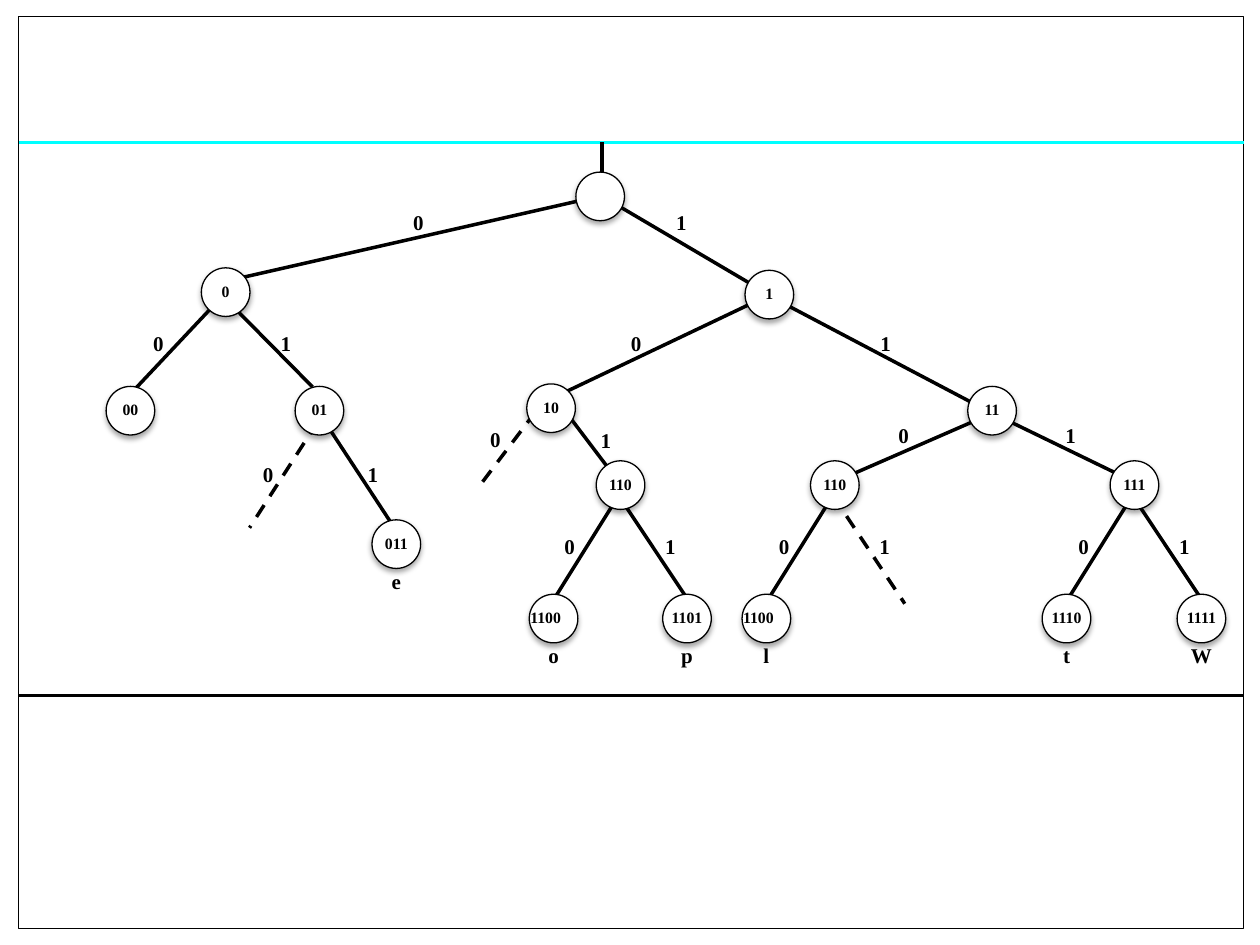
from dataclasses import dataclass

from lxml.etree import SubElement
from pptx import Presentation
from pptx.dml.color import RGBColor
from pptx.enum.dml import MSO_LINE
from pptx.enum.shapes import MSO_CONNECTOR, MSO_SHAPE
from pptx.enum.text import MSO_ANCHOR, PP_ALIGN
from pptx.oxml.ns import qn
from pptx.util import Cm, Pt


@dataclass(frozen=True)
class Theme:
    """Colours, type and line sizes of the slide."""
    ink: RGBColor = RGBColor(0, 0, 0)
    paper: RGBColor = RGBColor(255, 255, 255)
    accent: RGBColor = RGBColor(0, 255, 255)
    font: str = "Times New Roman"
    code_size: float = 9
    label_size: float = 12
    thin: float = 0.75
    thick: float = 2


THEME = Theme()
DIAMETER = 0.98
LABEL_WIDTH, LABEL_HEIGHT = 0.99, 0.76

FRAME = (0.38, 0.33, 24.69, 18.39)
HEADER_HEIGHT, FOOTER_TOP = 2.54, 13.69

NODES = [
    ("", 11.72, 1.09, ""),
    ("0", 4.17, 3.02, ""),
    ("1", 15.13, 3.07, ""),
    ("00", 2.25, 5.41, ""),
    ("01", 6.06, 5.41, ""),
    ("10", 10.73, 5.36, ""),
    ("11", 19.62, 5.41, ""),
    ("110", 12.13, 6.91, ""),
    ("110", 16.45, 6.91, ""),
    ("111", 22.49, 6.91, ""),
    ("011", 7.61, 8.1, "e"),
    ("1100", 10.78, 9.6, "o"),
    ("1101", 13.47, 9.6, "p"),
    ("1100", 15.07, 9.6, "l"),
    ("1110", 21.12, 9.6, "t"),
    ("1111", 23.84, 9.6, "W"),
]
BRANCHES = [
    ("0", (11.68, 1.09), (4.52, 2.72), (7.7, 1.22), False),
    ("1", (11.73, 1.07), (15.21, 3.12), (13, 1.22), False),
    ("0", (3.84, 3.38), (1.93, 5.41), (2.46, 3.66), False),
    ("1", (4.39, 3.38), (5.92, 4.93), (5.03, 3.66), False),
    ("0", (14.91, 3.18), (10.54, 5.26), (12.09, 3.66), False),
    ("1", (15.29, 3.18), (19.43, 5.36), (17.12, 3.66), False),
    ("0", (6.02, 5.64), (4.65, 7.77), (4.67, 6.3), True),
    ("1", (6.12, 5.56), (7.57, 7.77), (6.78, 6.3), False),
    ("0", (10.72, 5.03), (9.32, 6.88), (9.25, 5.59), True),
    ("1", (10.72, 5.03), (12.12, 6.88), (11.48, 5.61), False),
    ("0", (19.51, 5.51), (16.41, 6.86), (17.48, 5.51), False),
    ("1", (19.63, 5.46), (22.45, 6.83), (20.85, 5.51), False),
]
FANS = [(12.13, False), (16.45, True), (22.49, False)]


def write(shape, text, size=THEME.label_size, align=PP_ALIGN.LEFT, anchor=MSO_ANCHOR.TOP,
          wrap=True, margins=(0.25, 0.13, 0.25, 0.13)):
    """Put formatted text in a shape."""
    frame = shape.text_frame
    frame.word_wrap = wrap
    frame.vertical_anchor = anchor
    (frame.margin_left, frame.margin_top,
     frame.margin_right, frame.margin_bottom) = map(Cm, margins)
    paragraph = frame.paragraphs[0]
    paragraph.alignment = align
    run = paragraph.add_run()
    run.text = text
    run.font.name, run.font.size, run.font.bold = THEME.font, Pt(size), True
    run.font.color.rgb = THEME.ink


def add_label(slide, text, left, top, **style):
    """Add a one-character label at its top left corner."""
    label = slide.shapes.add_textbox(Cm(left), Cm(top), Cm(LABEL_WIDTH), Cm(LABEL_HEIGHT))
    write(label, text, **style)


def add_line(slide, start, end, color=THEME.ink, dashed=False):
    """Draw a straight thick line."""
    line = slide.shapes.add_connector(MSO_CONNECTOR.STRAIGHT, *map(Cm, (*start, *end)))
    line.line.color.rgb = color
    line.line.width = Pt(THEME.thick)
    if dashed:
        line.line.dash_style = MSO_LINE.DASH
    SubElement(line._element.spPr, qn("a:effectLst"))


def add_soft_shadow(shape):
    """Give a shape a soft shadow below it."""
    effects = SubElement(shape._element.spPr, qn("a:effectLst"))
    shadow = SubElement(effects, qn("a:outerShdw"), blurRad=str(Pt(3.1)), dist=str(Pt(1.8)),
                        dir="5400000", rotWithShape="0")
    color = SubElement(shadow, qn("a:srgbClr"), val=str(THEME.ink))
    SubElement(color, qn("a:alpha"), val="35000")


def add_node(slide, code, x, y, letter):
    """Draw a node around its centre, with its letter below."""
    node = slide.shapes.add_shape(MSO_SHAPE.OVAL, Cm(x - DIAMETER / 2), Cm(y - DIAMETER / 2),
                                  Cm(DIAMETER), Cm(DIAMETER))
    node.fill.solid()
    node.fill.fore_color.rgb = THEME.paper
    node.line.color.rgb = THEME.ink
    node.line.width = Pt(THEME.thin)
    add_soft_shadow(node)
    if code:
        right = 0.32 if code == "1100" else 0
        write(node, code, size=THEME.code_size, align=PP_ALIGN.CENTER,
              anchor=MSO_ANCHOR.MIDDLE, wrap=False, margins=(0, 0, right, 0.05))
    if letter:
        add_label(slide, letter, x - LABEL_WIDTH / 2, y + 0.36, align=PP_ALIGN.CENTER)


def fan_branches(x, right_dashed):
    """Return the two branches below a node of the last inner level."""
    start = (x - 0.04, 7.12)
    return [("0", start, (x - 1.4, 9.3), (x - 1.38, 7.75), False),
            ("1", start, (x + 1.41, 9.3), (x + 0.65, 7.75), right_dashed)]


def draw_tree(slide, left, top):
    """Draw the code tree from the top left corner of its box."""
    def place(point):
        """Shift a point into the box."""
        return left + point[0], top + point[1]

    add_line(slide, place((11.76, 0)), place((11.76, 0.71)))
    branches = BRANCHES + [branch for fan in FANS for branch in fan_branches(*fan)]
    for bit, start, end, label, dashed in branches:
        add_line(slide, place(start), place(end), dashed=dashed)
        add_label(slide, bit, *place(label))
    for code, x, y, letter in NODES:
        add_node(slide, code, *place((x, y)), letter)


def draw_frame(slide, left, top, width, height):
    """Draw the border and the two rules that divide it."""
    border = slide.shapes.add_shape(MSO_SHAPE.RECTANGLE, *map(Cm, (left, top, width, height)))
    border.shadow.inherit = False
    border.fill.background()
    border.line.color.rgb = THEME.ink
    border.line.width = Pt(THEME.thin)
    for offset, color in ((HEADER_HEIGHT, THEME.accent), (FOOTER_TOP, THEME.ink)):
        add_line(slide, (left, top + offset), (left + width, top + offset), color=color)


def main():
    """Build and save the slide."""
    deck = Presentation()
    deck.slide_width, deck.slide_height = Cm(25.4), Cm(19.05)
    slide = deck.slides.add_slide(deck.slide_layouts[6])
    draw_frame(slide, *FRAME)
    draw_tree(slide, FRAME[0], FRAME[1] + HEADER_HEIGHT)
    deck.save("out.pptx")


main()
